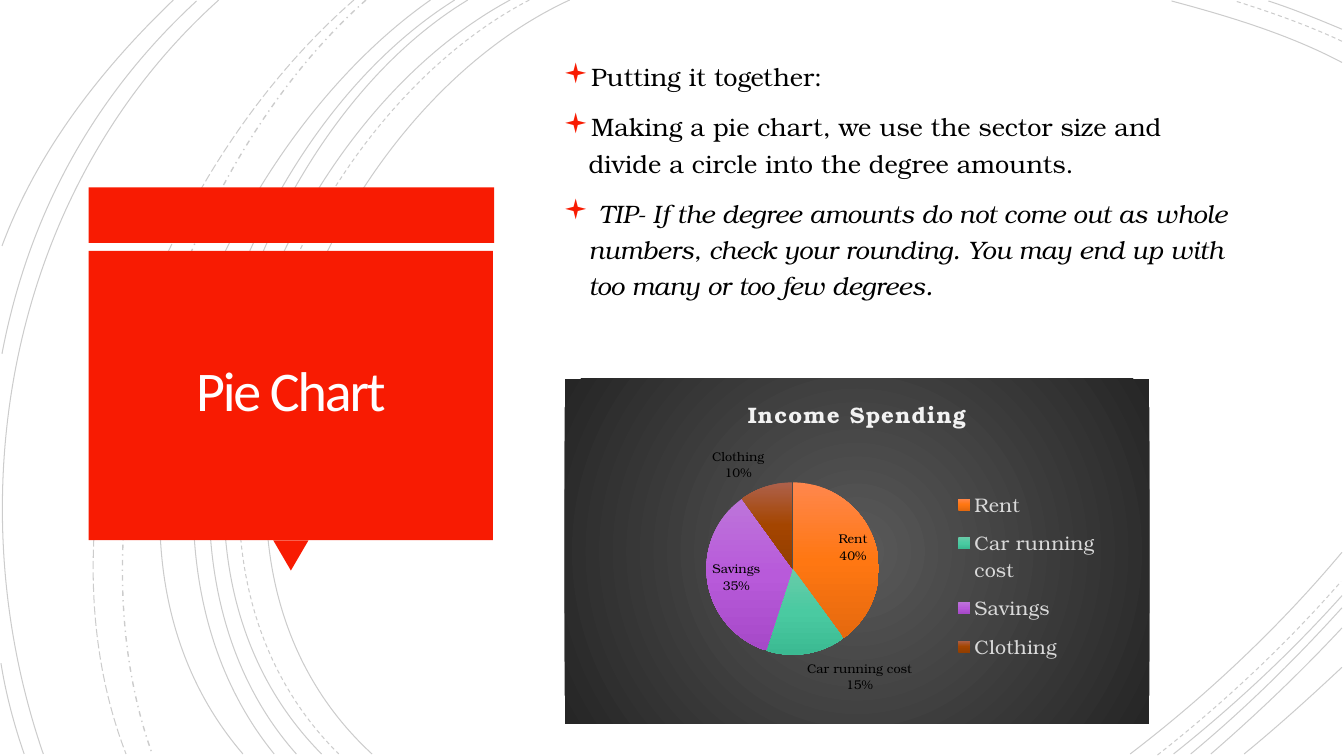
from dataclasses import dataclass
from typing import Any

from lxml.etree import SubElement
from pptx import Presentation
from pptx.chart.chart import Chart
from pptx.chart.data import CategoryChartData
from pptx.dml.color import RGBColor
from pptx.enum.chart import XL_CHART_TYPE, XL_LABEL_POSITION, XL_LEGEND_POSITION
from pptx.enum.dml import MSO_LINE
from pptx.enum.shapes import MSO_SHAPE
from pptx.enum.text import MSO_ANCHOR, PP_ALIGN
from pptx.oxml import parse_xml
from pptx.oxml.ns import nsdecls, qn
from pptx.slide import Slide
from pptx.text.text import TextFrame
from pptx.util import Inches, Pt

RED = RGBColor(0xF8, 0x1B, 0x02)
BLACK = RGBColor(0, 0, 0)
TITLE_WHITE = RGBColor(0xFF, 0xFE, 0xFF)
CHART_TITLE_GREY = RGBColor(0xF2, 0xF2, 0xF2)
LEGEND_GREY = RGBColor(0xD9, 0xD9, 0xD9)
CHART_LIGHT = RGBColor(0x59, 0x59, 0x59)
CHART_DARK = RGBColor(0x26, 0x26, 0x26)
BODY_FONT = "TeX Gyre Bonum"
LINEAR_DOWN = '<a:lin ang="5400000" scaled="0"/>'
FROM_CENTRE = '<a:path path="circle"><a:fillToRect l="50000" t="50000" r="50000" b="50000"/></a:path>'

Point = tuple[float, float]


@dataclass(frozen=True)
class Arc:
    start: Point
    first_control: Point
    second_control: Point
    end: Point
    dash: MSO_LINE = MSO_LINE.SOLID
    width: float = 0.75


@dataclass(frozen=True)
class Panel:
    kind: MSO_SHAPE
    left: float
    top: float
    width: float
    height: float
    rotation: float = 0


@dataclass(frozen=True)
class Slice:
    name: str
    percent: int
    colours: tuple[RGBColor, RGBColor, RGBColor]


@dataclass(frozen=True)
class Bullet:
    runs: tuple[tuple[str, bool], ...]


ARCS = (
    Arc((5.65, 0), (3.15, 1.15), (1.43, 5.4), (3.69, 7.48)),
    Arc((13.31, 0.62), (12.78, 0.34), (12.18, 0.16), (11.62, 0.01)),
    Arc((11.21, 7.48), (11.97, 6.9), (12.69, 6.22), (13.31, 5.48)),
    Arc((5.25, 0), (2.85, 1.25), (1.23, 5.37), (3.36, 7.48), MSO_LINE.DASH),
    Arc((13.31, 0.41), (12.97, 0.25), (12.6, 0.12), (12.25, 0.01), MSO_LINE.DASH),
    Arc((11.48, 7.49), (12.13, 6.98), (12.75, 6.4), (13.3, 5.77), MSO_LINE.DASH),
    Arc((5.06, 0), (2.7, 1.27), (1.1, 5.37), (3.19, 7.48)),
    Arc((13.31, 0.29), (13.07, 0.19), (12.83, 0.09), (12.58, 0.01)),
    Arc((11.64, 7.48), (12.23, 7.01), (12.8, 6.48), (13.31, 5.91)),
    Arc((4.64, 0), (2.44, 1.33), (1.1, 5.41), (2.94, 7.48)),
    Arc((11.81, 7.48), (12.34, 7.04), (12.84, 6.55), (13.31, 6.03)),
    Arc((4.51, 0), (2.31, 1.38), (0.97, 5.33), (2.72, 7.48)),
    Arc((12.01, 7.48), (12.46, 7.09), (12.9, 6.67), (13.31, 6.23)),
    Arc((4.27, 0), (2.17, 1.47), (0.53, 5.29), (2.41, 7.48)),
    Arc((12.34, 7.48), (12.67, 7.21), (12.99, 6.92), (13.31, 6.62)),
    Arc((3.63, 0), (1.76, 1.66), (0.65, 5.09), (1.51, 7.48), MSO_LINE.DASH_DOT, 1),
    Arc((3.51, 0), (1.57, 1.69), (0.29, 4.99), (1.25, 7.48), MSO_LINE.LONG_DASH),
    Arc((2.17, 0), (0.11, 1.85), (-0.46, 4.9), (0.43, 7.48)),
    Arc((1.95, 0.01), (0.92, 0.96), (0.28, 2.14), (0.02, 3.51)),
    Arc((0.01, 6.58), (0.06, 6.89), (0.14, 7.19), (0.24, 7.48)),
    Arc((1.72, 0), (1, 0.69), (0.37, 1.5), (0.02, 2.44)),
)
PANELS = (
    Panel(MSO_SHAPE.RECTANGLE, 0.88, 1.86, 4.02, 0.55),
    Panel(MSO_SHAPE.ISOSCELES_TRIANGLE, 2.71, 5.36, 0.35, 0.3, 180),
    Panel(MSO_SHAPE.RECTANGLE, 0.88, 2.49, 4.01, 2.87),
)
BULLETS = (
    Bullet((("Putting it together:", False),)),
    Bullet((("Making a pie chart, we use the sector size and divide a circle into the degree amounts.", False),)),
    Bullet(((" ", False), ("TIP- If the degree amounts do not come out as whole numbers, check your "
                           "rounding. You may end up with too many or too few degrees.", True))),
)
SLICES = (
    Slice("Rent", 40, (RGBColor(0xFF, 0x87, 0x4D), RGBColor(0xFF, 0x77, 0x12), RGBColor(0xE5, 0x69, 0x0E))),
    Slice("Car running cost", 15, (RGBColor(0x69, 0xCB, 0xA9), RGBColor(0x4A, 0xCA, 0xA1), RGBColor(0x3B, 0xBA, 0x92))),
    Slice("Savings", 35, (RGBColor(0xBD, 0x75, 0xDA), RGBColor(0xB8, 0x5A, 0xDA), RGBColor(0xA6, 0x49, 0xC8))),
    Slice("Clothing", 10, (RGBColor(0xAE, 0x61, 0x4B), RGBColor(0xA4, 0x45, 0x00), RGBColor(0x92, 0x3E, 0x00))),
)


def style_font(font: Any, size: float, colour: RGBColor, name: str = BODY_FONT) -> None:
    font.size, font.name = Pt(size), name
    font.color.rgb = colour


def draw_arc(slide: Slide, arc: Arc) -> None:
    start, *others = [(Inches(x), Inches(y))
                      for x, y in (arc.start, arc.first_control, arc.second_control, arc.end)]
    builder = slide.shapes.build_freeform(*start)
    builder.add_line_segments(others, close=False)
    shape = builder.convert_to_shape()
    outline = shape.element.xpath(".//a:path")[0]
    curve = SubElement(outline, qn("a:cubicBezTo"))
    for segment in outline.findall(qn("a:lnTo")):
        curve.append(segment[0])
        outline.remove(segment)
    shape.shadow.inherit = False
    shape.fill.background()
    shape.line.color.rgb = BLACK
    shape.line.width = Pt(arc.width)
    shape.line.dash_style = arc.dash
    SubElement(shape.element.xpath(".//a:ln//a:srgbClr")[0], qn("a:alpha"), val="20000")


def draw_panel(slide: Slide, panel: Panel) -> None:
    box = map(Inches, (panel.left, panel.top, panel.width, panel.height))
    shape = slide.shapes.add_shape(panel.kind, *box)
    shape.shadow.inherit = False
    shape.rotation = panel.rotation
    shape.fill.solid()
    shape.fill.fore_color.rgb = RED
    shape.line.fill.background()


def add_text_frame(slide: Slide, left: float, top: float, width: float, height: float) -> TextFrame:
    frame = slide.shapes.add_textbox(*map(Inches, (left, top, width, height))).text_frame
    frame.word_wrap = True
    return frame


def draw_title(slide: Slide) -> None:
    frame = add_text_frame(slide, 0.97, 2.57, 3.83, 2.69)
    frame.vertical_anchor = MSO_ANCHOR.MIDDLE
    frame.margin_left = frame.margin_right = frame.margin_top = frame.margin_bottom = Inches(0.25)
    paragraph = frame.paragraphs[0]
    paragraph.alignment, paragraph.line_spacing = PP_ALIGN.CENTER, 0.85
    run = paragraph.add_run()
    run.text = "Pie Chart"
    style_font(run.font, 40, TITLE_WHITE, "Calibri")
    run.font._element.set("spc", "-150")


def draw_bullets(slide: Slide) -> None:
    frame = add_text_frame(slide, 5.49, 0.5, 6.87, 2.69)
    for index, bullet in enumerate(BULLETS):
        paragraph = frame.add_paragraph() if index else frame.paragraphs[0]
        paragraph.line_spacing = 1.2
        if index:
            paragraph.space_before = Pt(10)
        properties = paragraph._p.get_or_add_pPr()
        properties.set("marL", str(Inches(0.25)))
        properties.set("indent", str(Inches(-0.25)))
        SubElement(SubElement(properties, qn("a:buClr")), qn("a:srgbClr"), val=str(RED))
        SubElement(properties, qn("a:buSzPct"), val="110000")
        SubElement(properties, qn("a:buFont"), typeface="Wingdings", charset="2")
        SubElement(properties, qn("a:buChar"), char="▪")
        for text, italic in bullet.runs:
            run = paragraph.add_run()
            run.text = text
            style_font(run.font, 18, BLACK)
            run.font.italic = italic


def gradient_properties(colours: tuple[RGBColor, ...], direction: str) -> Any:
    stops = "".join(f'<a:gs pos="{100000 * index // (len(colours) - 1)}"><a:srgbClr val="{colour}"/></a:gs>'
                    for index, colour in enumerate(colours))
    return parse_xml(f'<c:spPr {nsdecls("c", "a")}><a:gradFill rotWithShape="1"><a:gsLst>{stops}</a:gsLst>'
                     f'{direction}</a:gradFill><a:ln><a:noFill/></a:ln></c:spPr>')


def place_part(chart: Chart, tag: str, index: int, target: str = "", **fractions: float) -> None:
    part = chart.element.xpath(f"c:chart/{tag}")[0]
    for layout in part.findall(qn("c:layout")):
        part.remove(layout)
    modes = "".join(f'<c:{axis}Mode val="edge"/>' for axis in "xy")
    values = "".join(f'<c:{name} val="{value}"/>' for name, value in fractions.items())
    part.insert(index, parse_xml(f'<c:layout {nsdecls("c")}><c:manualLayout>{target}{modes}{values}'
                                 '</c:manualLayout></c:layout>'))


def draw_chart(slide: Slide) -> None:
    data = CategoryChartData()
    data.categories = [item.name for item in SLICES]
    data.add_series("Series 1", [item.percent for item in SLICES])
    chart = slide.shapes.add_chart(XL_CHART_TYPE.PIE, *map(Inches, (5.6, 3.76, 5.8, 3.42)), data).chart
    style_font(chart.font, 10, BLACK)
    chart.element.find(qn("c:chart")).addnext(gradient_properties((CHART_LIGHT, CHART_DARK), FROM_CENTRE))
    chart.has_title = True
    run = chart.chart_title.text_frame.paragraphs[0].add_run()
    run.text = "Income Spending"
    style_font(run.font, 16, CHART_TITLE_GREY)
    run.font.bold = True
    run.font._element.set("spc", "100")
    chart.has_legend = True
    chart.legend.position = XL_LEGEND_POSITION.RIGHT
    chart.legend.include_in_layout = False
    style_font(chart.legend.font, 14, LEGEND_GREY)
    plot = chart.plots[0]
    plot.vary_by_categories = True
    for index, item in enumerate(SLICES):
        plot.series[0].points[index].format.fill.solid()
        properties = chart.element.xpath(".//c:dPt/c:spPr")[index]
        properties.getparent().replace(properties, gradient_properties(item.colours, LINEAR_DOWN))
    plot.has_data_labels = True
    labels = plot.data_labels
    labels.show_category_name = labels.show_percentage = True
    labels.show_value = False
    labels.number_format, labels.number_format_is_linked = "0%", False
    labels.position = XL_LABEL_POSITION.BEST_FIT
    style_font(labels.font, 9, BLACK)
    chart.element.xpath(".//c:dLbls/c:txPr/a:bodyPr")[0].set("wrap", "square")
    separator = parse_xml(f'<c:separator {nsdecls("c")}>\n</c:separator>')
    chart.element.xpath(".//c:dLbls/*[self::c:showBubbleSize or self::c:showPercent]")[-1].addnext(separator)
    place_part(chart, "c:plotArea", 0, '<c:layoutTarget val="inner"/>', x=0.24, y=0.3, w=0.3, h=0.5)
    place_part(chart, "c:legend", 1, x=0.65, y=0.29, w=0.28, h=0.56)


def main() -> None:
    presentation = Presentation()
    presentation.slide_width, presentation.slide_height = Inches(13.33), Inches(7.5)
    slide = presentation.slides.add_slide(presentation.slide_layouts[6])
    for arc in ARCS:
        draw_arc(slide, arc)
    for panel in PANELS:
        draw_panel(slide, panel)
    draw_title(slide)
    draw_bullets(slide)
    draw_chart(slide)
    presentation.save("out.pptx")


if __name__ == "__main__":
    main()
